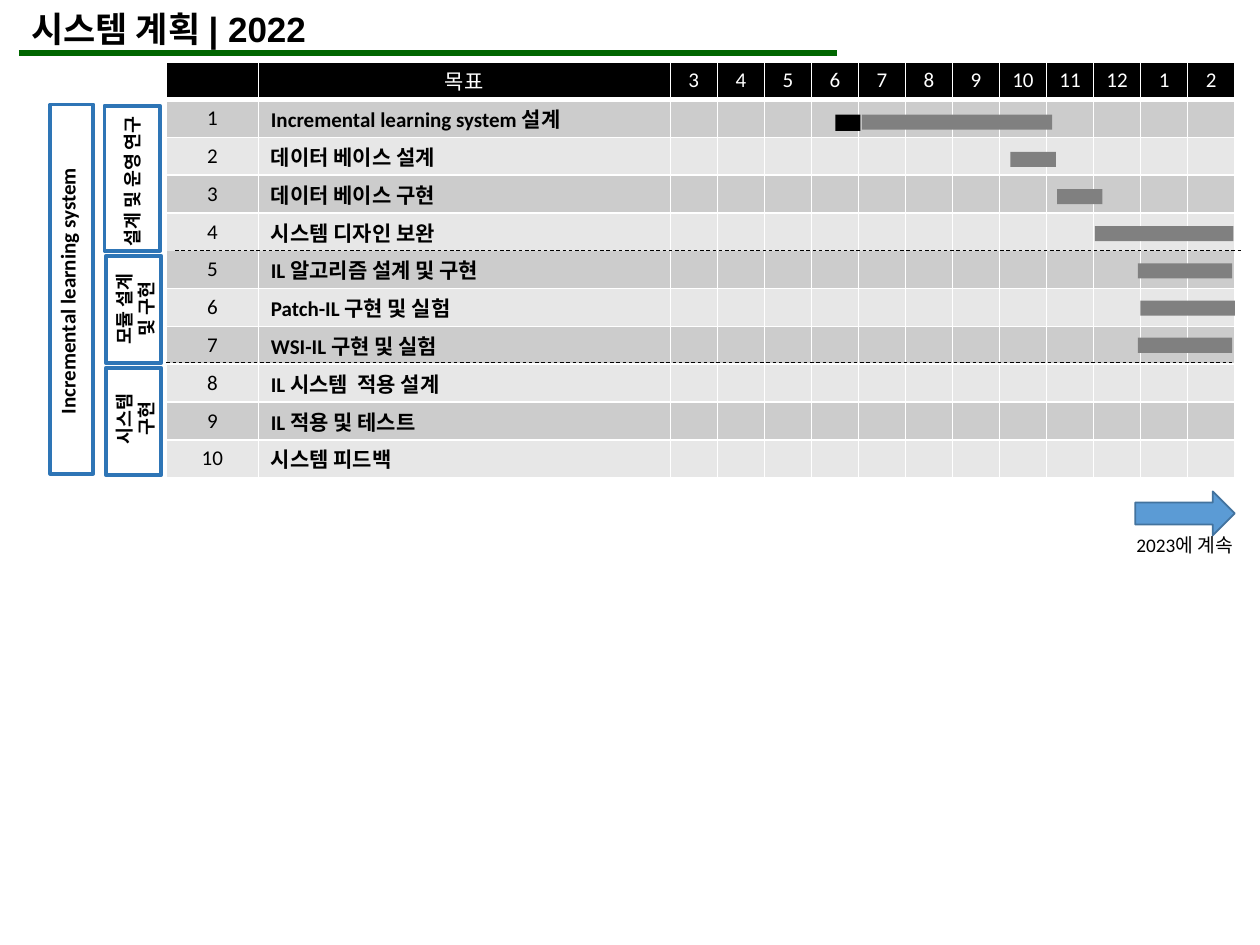
from dataclasses import dataclass

from lxml import etree
from pptx import Presentation
from pptx import util as u
from pptx.dml.color import RGBColor
from pptx.enum import dml, shapes, text
from pptx.oxml.ns import qn


@dataclass(frozen=True)
class Theme:
    black: str = "000000"
    white: str = "FFFFFF"
    odd_row: str = "CCCCCC"
    even_row: str = "E7E7E7"
    bar: str = "808080"
    rule: str = "006600"
    group: str = "2E75B6"
    arrow: str = "5B9BD5"
    arrow_edge: str = "43739E"
    title_font: str = "Arial"
    body_font: str = "Calibri"
    title_size: float = 20
    body_size: float = 12
    note_size: float = 11
    group_size: float = 10.5


MONTHS = [3, 4, 5, 6, 7, 8, 9, 10, 11, 12, 1, 2]
GOALS = [
    "Incremental learning system 설계",
    "데이터 베이스 설계",
    "데이터 베이스 구현",
    "시스템 디자인 보완",
    "IL 알고리즘 설계 및 구현",
    "Patch-IL 구현 및 실험",
    "WSI-IL 구현 및 실험",
    "IL 시스템  적용 설계",
    "IL 적용 및 테스트",
    "시스템 피드백",
]
TABLE_LEFT, TABLE_TOP, ROW_HEIGHT = 1.32, 0.49, 0.3
COLUMN_WIDTHS = [0.73, 3.27] + [4.48 / len(MONTHS)] * len(MONTHS)
BREAK_AFTER = 4  # goal whose lower edge carries a dashed line instead of a border

# goal number, left, width
BARS = [(1, 6.84, 1.51), (2, 8.02, 0.36), (3, 8.39, 0.36), (4, 8.69, 1.1),
        (5, 9.03, 0.75), (6, 9.05, 0.75), (7, 9.03, 0.75)]
BAR_TOP, BAR_PITCH, BAR_HEIGHT = 0.91, 0.295, 0.12

# frame box, label, label box before rotation, label size
GROUPS = [
    ((0.83, 0.84, 0.44, 1.15), "설계 및 운영 연구",
     (0.18, 1.3, 1.75, 0.28), Theme.group_size),
    ((0.4, 0.83, 0.34, 2.93), "Incremental learning system",
     (-0.75, 2.16, 2.57, 0.3), Theme.body_size),
    ((0.84, 2.03, 0.44, 0.85), "모듈 설계 및 구현",
     (0.63, 2.23, 0.89, 0.45), Theme.group_size),
    ((0.84, 2.92, 0.44, 0.85), "시스템\v구현",
     (0.63, 3.1, 0.89, 0.45), Theme.group_size),
]


def inches(values):
    return [u.Inches(value) for value in values]


class SlideBuilder:
    def __init__(self, slide, theme):
        self.slide = slide
        self.theme = theme

    def fill_text(self, frame, content, size, color, bold=False, centered=False,
                  font=None):
        frame.text = content
        for paragraph in frame.paragraphs:
            paragraph.alignment = text.PP_ALIGN.CENTER if centered else text.PP_ALIGN.LEFT
            paragraph.font.name = font or self.theme.body_font
            paragraph.font.size = u.Pt(size)
            paragraph.font.bold = bold
            paragraph.font.color.rgb = RGBColor.from_string(color)

    def label(self, box, content, size, rotation=0, **style):
        shape = self.slide.shapes.add_textbox(*inches(box))
        shape.rotation = rotation
        shape.text_frame.word_wrap = True
        self.fill_text(shape.text_frame, content, size, self.theme.black, **style)

    def block(self, box, fill=None, line=None, width=1,
              kind=shapes.MSO_SHAPE.RECTANGLE):
        shape = self.slide.shapes.add_shape(kind, *inches(box))
        shape.shadow.inherit = False
        if fill:
            shape.fill.solid()
            shape.fill.fore_color.rgb = RGBColor.from_string(fill)
        else:
            shape.fill.background()
        if line:
            shape.line.color.rgb = RGBColor.from_string(line)
            shape.line.width = u.Pt(width)
        else:
            shape.line.fill.background()

    def horizontal(self, left, right, top, color, width, dashed=False):
        line = self.slide.shapes.add_connector(
            shapes.MSO_CONNECTOR.STRAIGHT, *inches((left, top, right, top)))
        line.line.color.rgb = RGBColor.from_string(color)
        line.line.width = u.Pt(width)
        if dashed:
            line.line.dash_style = dml.MSO_LINE.DASH
        etree.SubElement(line._element.spPr, qn("a:effectLst"))

    def borders(self, cell, widths):
        """Draw white cell edges; widths maps L, R, T, B to points, 0 for none."""
        properties = cell._tc.get_or_add_tcPr()
        for position, (side, width) in enumerate(widths.items()):
            edge = etree.Element(qn(f"a:ln{side}"), w=str(u.Pt(width)))
            if width:
                fill = etree.SubElement(edge, qn("a:solidFill"))
                etree.SubElement(fill, qn("a:srgbClr"), val=self.theme.white)
            else:
                etree.SubElement(edge, qn("a:noFill"))
            properties.insert(position, edge)

    def schedule(self):
        theme = self.theme
        rows = [["", "목표", *MONTHS]]
        rows += [[number, goal] + [""] * len(MONTHS)
                 for number, goal in enumerate(GOALS, 1)]
        box = (TABLE_LEFT, TABLE_TOP, sum(COLUMN_WIDTHS), ROW_HEIGHT * len(rows))
        table = self.slide.shapes.add_table(
            len(rows), len(COLUMN_WIDTHS), *inches(box)).table
        for column, width in zip(table.columns, COLUMN_WIDTHS):
            column.width = u.Inches(width)
        for r, row in enumerate(rows):
            table.rows[r].height = u.Inches(ROW_HEIGHT)
            header = r == 0
            fill = theme.black if header else theme.odd_row if r % 2 else theme.even_row
            edges = {"L": 1, "R": 1,
                     "T": 3 if r == 1 else 0 if r == BREAK_AFTER + 1 else 1,
                     "B": 3 if header else 0 if r == BREAK_AFTER else 1}
            for c, value in enumerate(row):
                cell = table.cell(r, c)
                cell.fill.solid()
                cell.fill.fore_color.rgb = RGBColor.from_string(fill)
                cell.vertical_anchor = text.MSO_ANCHOR.MIDDLE
                cell.margin_top = cell.margin_bottom = u.Inches(0.03)
                is_goal = c == 1 and not header
                self.fill_text(cell.text_frame, str(value), theme.body_size,
                               theme.white if header else theme.black,
                               bold=is_goal, centered=not is_goal)
                self.borders(cell, edges)


def main():
    presentation = Presentation()
    presentation.slide_width = u.Inches(10)
    presentation.slide_height = u.Inches(7.5)
    theme = Theme()
    builder = SlideBuilder(
        presentation.slides.add_slide(presentation.slide_layouts[6]), theme)

    builder.label((0.15, 0.01, 8.05, 0.44), "시스템 계획 | 2022", theme.title_size,
                  bold=True, font=theme.title_font)
    builder.schedule()
    for frame, name, label_box, size in GROUPS:
        builder.block(frame, line=theme.group, width=2.25)
        builder.label(label_box, name, size, rotation=270, bold=True, centered=True)

    builder.horizontal(0.15, 6.64, 0.42, theme.rule, 3)
    builder.horizontal(1.39, 9.87, 1.99, theme.black, 0.5, dashed=True)
    builder.horizontal(1.32, 9.8, 2.88, theme.black, 0.5, dashed=True)

    builder.block((6.63, BAR_TOP, 0.2, 0.13), theme.black)
    for goal, left, width in BARS:
        top = BAR_TOP + (goal - 1) * BAR_PITCH
        builder.block((left, top, width, BAR_HEIGHT), theme.bar)

    builder.block((9.01, 3.9, 0.79, 0.35), theme.arrow, theme.arrow_edge,
                  kind=shapes.MSO_SHAPE.RIGHT_ARROW)
    builder.label((8.92, 4.18, 1.25, 0.29), "2023에 계속", theme.note_size)
    presentation.save("out.pptx")


if __name__ == "__main__":
    main()
